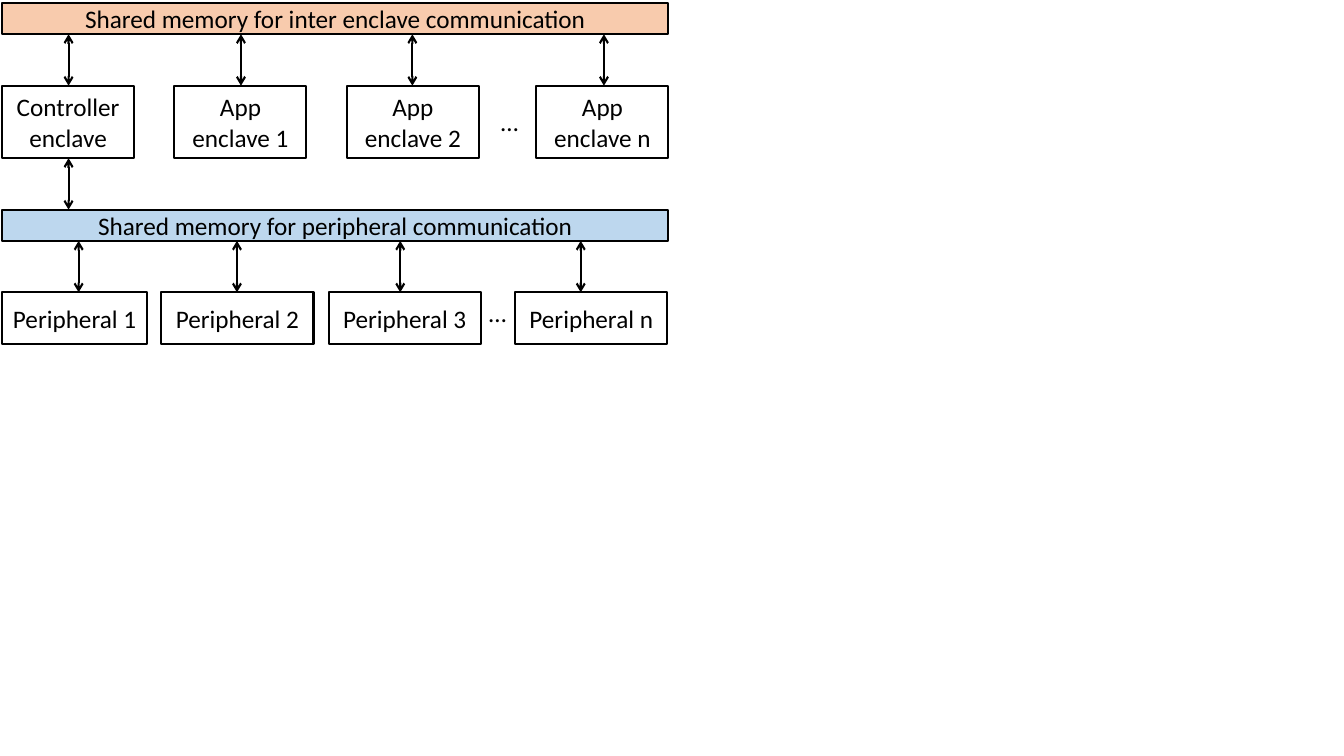
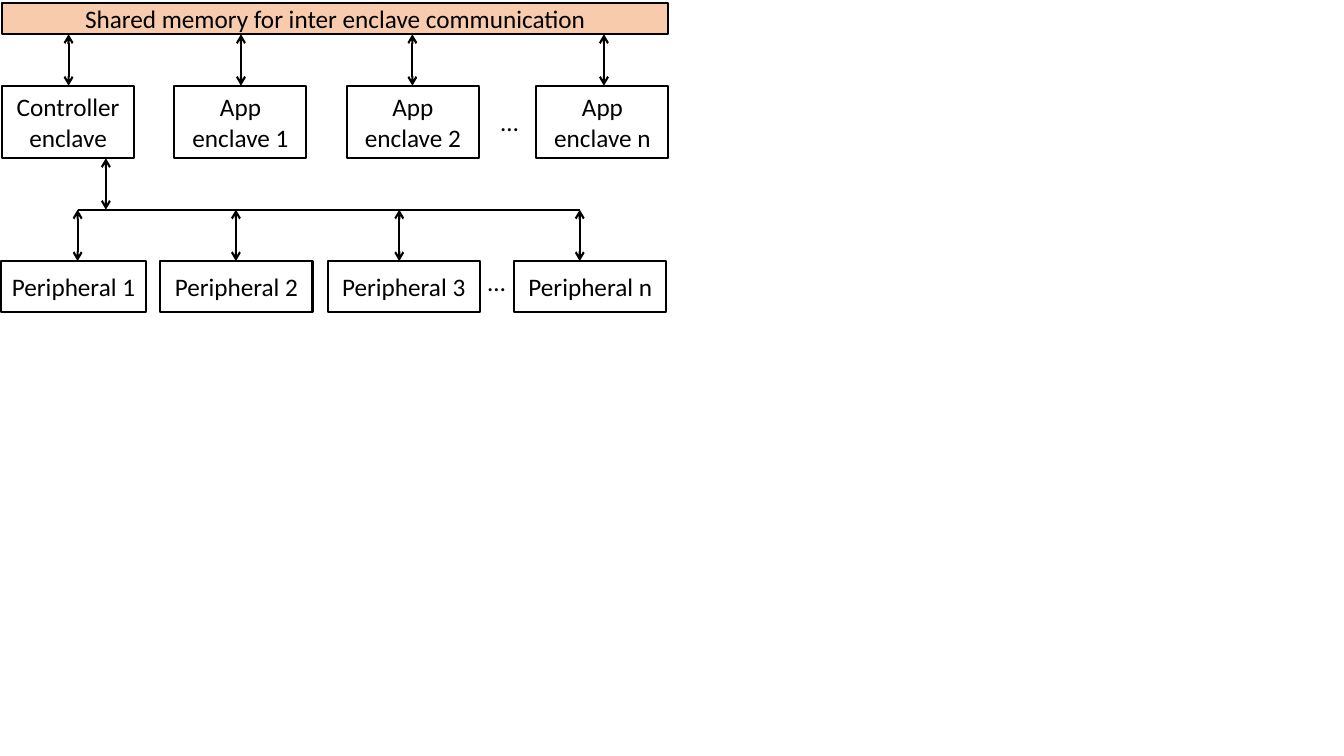
from dataclasses import dataclass

from pptx import Presentation
from pptx.dml.color import RGBColor
from pptx.enum.shapes import MSO_CONNECTOR, MSO_SHAPE
from pptx.enum.text import MSO_ANCHOR, MSO_AUTO_SIZE, PP_ALIGN
from pptx.oxml.ns import qn
from pptx.util import Inches, Pt
from lxml.etree import SubElement


@dataclass(frozen=True)
class Theme:
    font: str = "Calibri"
    text_size: float = 18
    line_width: float = 1.5
    ink: str = "000000"
    paper: str = "FFFFFF"
    enclave_bus: str = "F8CBAD"
    peripheral_bus: str = "BDD7EE"


THEME = Theme()

# Diagram grid, in inches
LEFT, TOP = 0.02, 0.03
WIDTH = 6.61
BUS_HEIGHT = 0.31
GAP = 0.51
ENCLAVE_TOP = 0.85
ENCLAVE_WIDTH, ENCLAVE_HEIGHT = 1.31, 0.72
ENCLAVE_BOTTOM = ENCLAVE_TOP + ENCLAVE_HEIGHT
PERIPHERAL_BUS_TOP = ENCLAVE_BOTTOM + GAP
PERIPHERAL_HEIGHT = 0.51

# Text, left edge, arrow position
ENCLAVES = [
    ("Controller enclave", LEFT, 0.68),
    ("App enclave 1", 1.73, 2.39),
    ("App enclave 2", 3.44, 4.09),
    ("App enclave n", 5.32, 5.99),
]
# Text, left edge, width, arrow position
PERIPHERALS = [
    ("Peripheral 1", LEFT, 1.44, 0.78),
    ("Peripheral 2", 1.6, 1.51, 2.35),
    ("Peripheral 3", 3.26, 1.51, 3.97),
    ("Peripheral n", 5.11, 1.51, 5.76),
]


def write_text(frame, text, align=PP_ALIGN.LEFT, anchor=MSO_ANCHOR.TOP, wrap=True):
    frame.word_wrap = wrap
    frame.vertical_anchor = anchor
    para = frame.paragraphs[0]
    para.alignment = align
    span = para.add_run()
    span.text = text
    span.font.name = THEME.font
    span.font.size = Pt(THEME.text_size)
    span.font.color.rgb = RGBColor.from_string(THEME.ink)


class Diagram:
    def __init__(self, deck):
        self.deck = deck
        self.page = None

    def new_page(self):
        self.page = self.deck.slides.add_slide(self.deck.slide_layouts[6])

    def outline(self, line):
        line.color.rgb = RGBColor.from_string(THEME.ink)
        line.width = Pt(THEME.line_width)

    def box(self, text, left, top, width, height, fill=THEME.paper):
        box = self.page.shapes.add_shape(
            MSO_SHAPE.RECTANGLE, Inches(left), Inches(top), Inches(width), Inches(height))
        box.shadow.inherit = False
        box.fill.solid()
        box.fill.fore_color.rgb = RGBColor.from_string(fill)
        self.outline(box.line)
        write_text(box.text_frame, text, align=PP_ALIGN.CENTER, anchor=MSO_ANCHOR.MIDDLE)

    def bus(self, text, top, fill):
        self.box(text, LEFT, top, WIDTH, BUS_HEIGHT, fill=fill)

    def ellipsis(self, left, top):
        box = self.page.shapes.add_textbox(Inches(left), Inches(top), Inches(0.38), Inches(0.4))
        write_text(box.text_frame, "…", wrap=False)
        box.text_frame.auto_size = MSO_AUTO_SIZE.SHAPE_TO_FIT_TEXT

    def line(self, start, end):
        line = self.page.shapes.add_connector(
            MSO_CONNECTOR.STRAIGHT, *(Inches(value) for value in (*start, *end)))
        self.outline(line.line)
        SubElement(line._element.spPr, qn("a:effectLst"))
        return line

    def double_arrow(self, x, top, bottom):
        arrow = self.line((x, top), (x, bottom))
        outline = arrow.line._get_or_add_ln()
        for end in ("a:headEnd", "a:tailEnd"):
            SubElement(outline, qn(end), type="arrow")

    def enclave_tier(self):
        for text, left, arrow_x in ENCLAVES:
            self.box(text, left, ENCLAVE_TOP, ENCLAVE_WIDTH, ENCLAVE_HEIGHT)
            self.double_arrow(arrow_x, TOP + BUS_HEIGHT, ENCLAVE_TOP)
        self.ellipsis(4.87, 1.01)
        self.bus("Shared memory for inter enclave communication", TOP, THEME.enclave_bus)

    def peripheral_tier(self, bus_bottom, shift=0):
        top = bus_bottom + GAP
        for text, left, width, arrow_x in PERIPHERALS:
            self.box(text, left + shift, top, width, PERIPHERAL_HEIGHT)
            self.double_arrow(arrow_x + shift, bus_bottom, top)
        self.ellipsis(4.75 + shift, top)

    def controller_link(self, x):
        self.double_arrow(x, ENCLAVE_BOTTOM, PERIPHERAL_BUS_TOP)


def shared_memory_page(diagram):
    diagram.new_page()
    diagram.enclave_tier()
    diagram.bus("Shared memory for peripheral communication",
                PERIPHERAL_BUS_TOP, THEME.peripheral_bus)
    diagram.controller_link(0.68)
    diagram.peripheral_tier(PERIPHERAL_BUS_TOP + BUS_HEIGHT)


def direct_link_page(diagram):
    shift = -0.01
    diagram.new_page()
    diagram.enclave_tier()
    diagram.controller_link(1.05)
    diagram.peripheral_tier(PERIPHERAL_BUS_TOP, shift=shift)
    first_x, last_x = PERIPHERALS[0][-1] + shift, PERIPHERALS[-1][-1] + shift
    diagram.line((first_x, PERIPHERAL_BUS_TOP), (last_x, PERIPHERAL_BUS_TOP))


def main():
    deck = Presentation()
    deck.slide_width, deck.slide_height = Inches(13.33), Inches(7.5)
    diagram = Diagram(deck)
    shared_memory_page(diagram)
    direct_link_page(diagram)
    deck.save("out.pptx")


if __name__ == "__main__":
    main()
